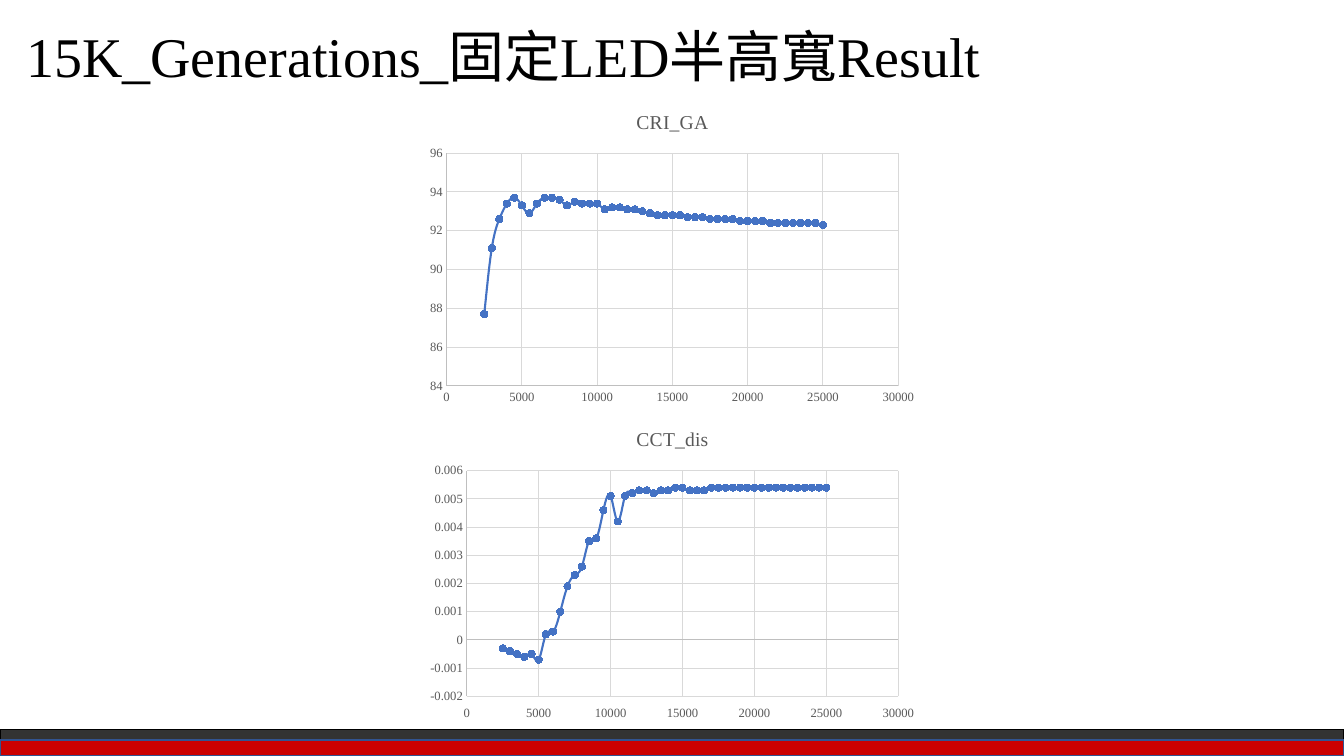
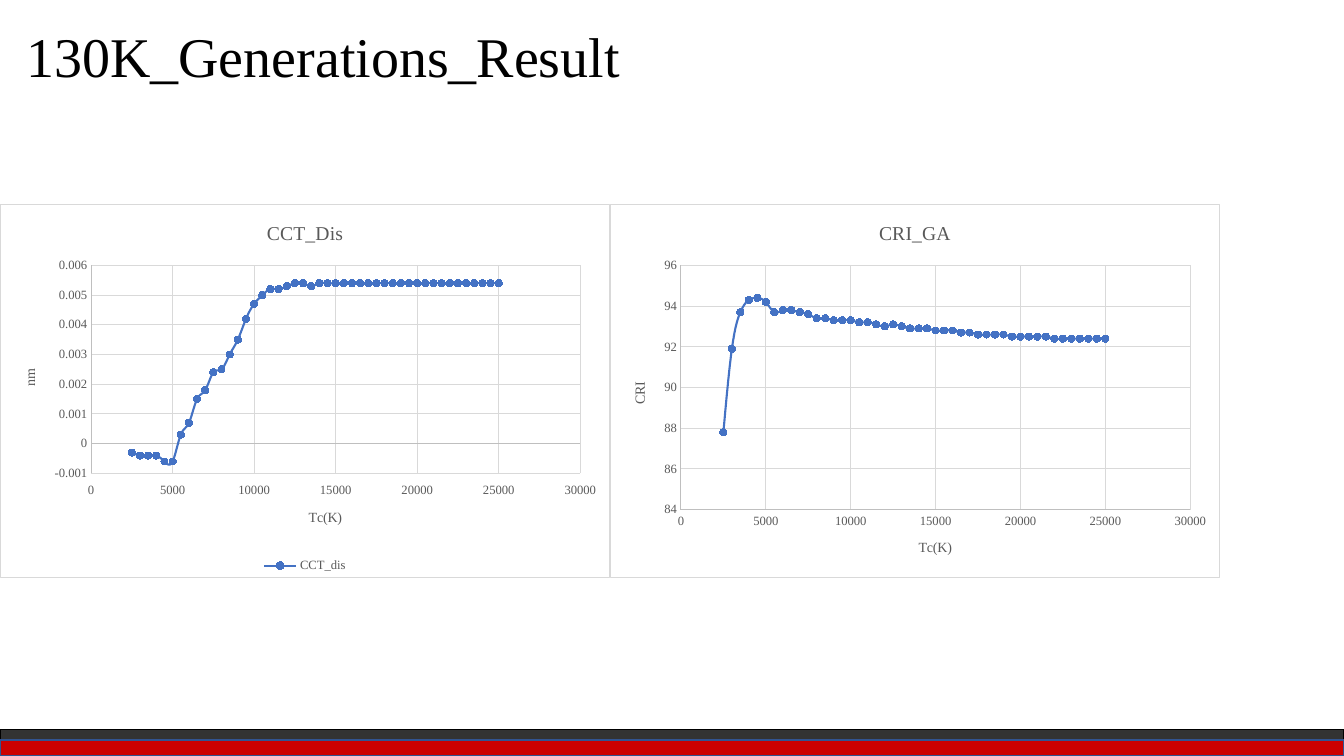
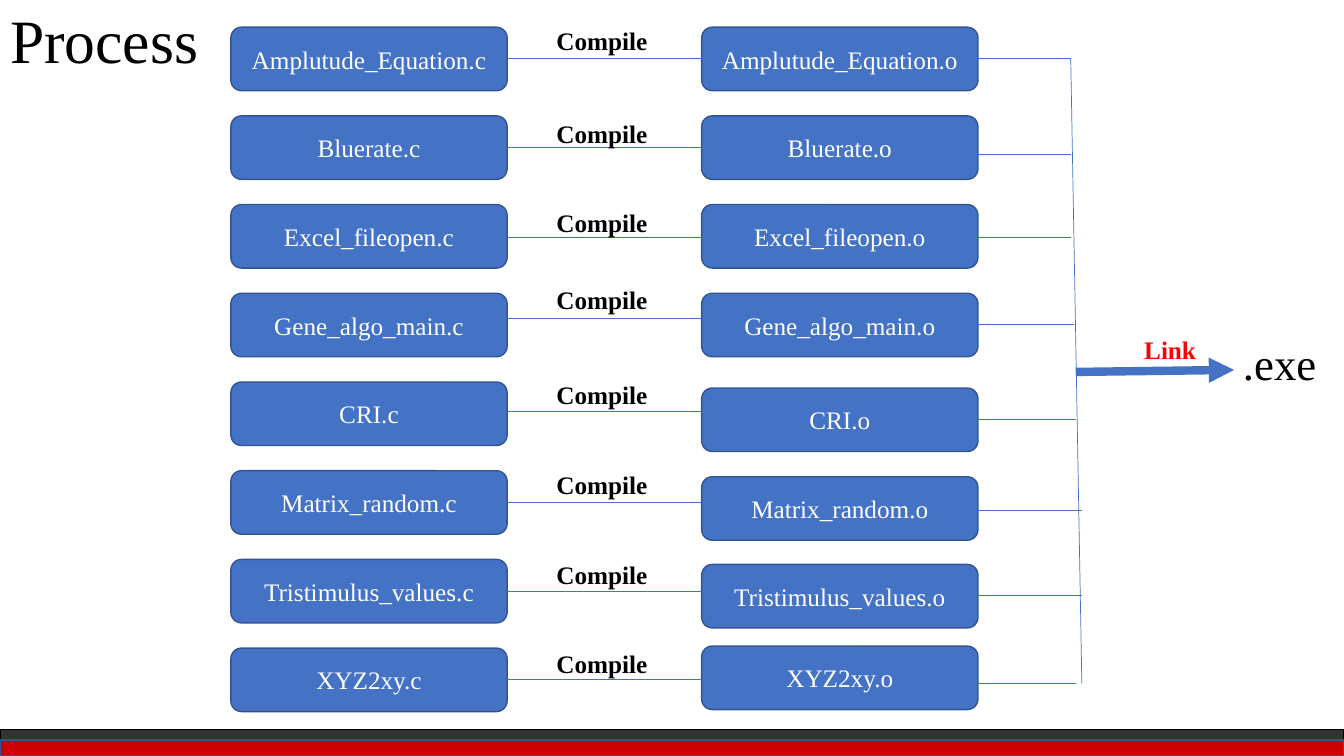
from lxml.etree import SubElement
from pptx import Presentation
from pptx.chart.data import XyChartData
from pptx.dml.color import RGBColor
from pptx.enum.chart import (XL_CHART_TYPE, XL_LEGEND_POSITION, XL_MARKER_STYLE,
                             XL_TICK_LABEL_POSITION, XL_TICK_MARK)
from pptx.enum.shapes import MSO_CONNECTOR, MSO_SHAPE
from pptx.enum.text import MSO_ANCHOR, MSO_AUTO_SIZE, PP_ALIGN
from pptx.oxml import parse_xml
from pptx.oxml.ns import nsdecls, qn
from pptx.util import Inches, Pt

FONT = "Times New Roman"
BLACK, WHITE, RED = "000000", "FFFFFF", "FF0000"
BLUE, DARK_BLUE, ORANGE = "4472C4", "325491", "ED7D31"
GRAY, AXIS_GRAY, GRID_GRAY = "595959", "BFBFBF", "D9D9D9"
WIDTH, HEIGHT = 13.33, 7.5


def style_font(font, size, color, bold=False):
    font.name, font.size, font.bold = FONT, Pt(size), bold
    font.color.rgb = RGBColor.from_string(color)


def add_box(slide, preset, place, fill, outline):
    box = slide.shapes.add_shape(preset, *map(Inches, place))
    box.shadow.inherit = False
    box.fill.solid()
    box.fill.fore_color.rgb = RGBColor.from_string(fill)
    box.line.color.rgb = RGBColor.from_string(outline)
    box.line.width = Pt(1)
    return box


prs = Presentation()
prs.slide_width, prs.slide_height = Inches(WIDTH), Inches(HEIGHT)
layout = prs.slide_layouts[5]

# Slides and titles: text, place, size, anchor, line spacing
titles = [
    ("15K_Generations_固定LED半高寬Result", (0.16, 0.16, 9.77, 0.77), 40, MSO_ANCHOR.TOP, 1.0),
    ("130K_Generations_Result", (0.16, 0.16, 6.61, 0.77), 40, MSO_ANCHOR.TOP, 1.0),
    ("Process", (0, -0.03, 2.58, 0.93), 44, MSO_ANCHOR.MIDDLE, 0.9),
]
for text, place, size, anchor, spacing in titles:
    title = prs.slides.add_slide(layout).shapes.title
    title.left, title.top, title.width, title.height = map(Inches, place)
    frame = title.text_frame
    frame.text = text
    frame.word_wrap = True
    frame.auto_size = MSO_AUTO_SIZE.NONE
    frame.vertical_anchor = anchor
    heading = frame.paragraphs[0]
    heading.alignment = PP_ALIGN.LEFT
    heading.line_spacing = spacing
    style_font(heading.font, size, BLACK)
fixed_width_slide, long_run_slide, process_slide = prs.slides

# Bottom bands, kept on the shared layout
bands = [(0.26, "333333", BLACK), (0.16, "CC0000", DARK_BLUE)]
for number, (height, fill, outline) in enumerate(bands):
    band = add_box(process_slide, MSO_SHAPE.RECTANGLE,
                   (0, HEIGHT - height, WIDTH, height), fill, outline)
    band.element.nvSpPr.cNvPr.id = 20 + number
    layout.shapes.element.append(band.element)

# Results for every colour temperature
temperatures = range(2500, 25001, 500)
cri_15k = [87.7, 91.1, 92.6, 93.4, 93.7, 93.3, 92.9, 93.4, 93.7, 93.7, 93.6, 93.3,
           93.5, 93.4, 93.4, 93.4, 93.1, 93.2, 93.2, 93.1, 93.1, 93.0, 92.9,
           *[92.8] * 4, *[92.7] * 3, *[92.6] * 4, *[92.5] * 4, *[92.4] * 7, 92.3]
cct_15k = [-0.0003, -0.0004, -0.0005, -0.0006, -0.0005, -0.0007, 0.0002, 0.0003,
           0.001, 0.0019, 0.0023, 0.0026, 0.0035, 0.0036, 0.0046, 0.0051, 0.0042,
           0.0051, 0.0052, 0.0053, 0.0053, 0.0052, 0.0053, 0.0053, 0.0054, 0.0054,
           *[0.0053] * 3, *[0.0054] * 17]
cct_130k = [-0.0003, -0.0004, -0.0004, -0.0004, -0.0006, -0.0006, 0.0003, 0.0007,
            0.0015, 0.0018, 0.0024, 0.0025, 0.003, 0.0035, 0.0042, 0.0047, 0.005,
            0.0052, 0.0052, 0.0053, 0.0054, 0.0054, 0.0053, *[0.0054] * 23]
cri_130k = [87.8, 91.9, 93.7, 94.3, 94.4, 94.2, 93.7, 93.8, 93.8, 93.7, 93.6, 93.4,
            93.4, 93.3, 93.3, 93.3, 93.2, 93.2, 93.1, 93.0, 93.1, 93.0,
            *[92.9] * 3, *[92.8] * 3, *[92.7] * 2, *[92.6] * 4, *[92.5] * 5, *[92.4] * 7]
no_results = [None] * len(temperatures)

# Charts: slide, place, title, series, (min, max, step), plot area inside the chart,
# value axis title, low labels, legend
charts = [
    (fixed_width_slide, (4.17, 0.93, 5, 3.15), "CRI_GA", {"CRI_GA": cri_15k},
     (84, 96, 2), (0.26, 0.59, 4.48, 2.31), None, False, False),
    (fixed_width_slide, (4.17, 4.08, 5, 3.14), "CCT_dis", {"CCT_dis": cct_15k},
     (-0.002, 0.006, 0.001), (0.46, 0.59, 4.28, 2.24), None, True, False),
    (long_run_slide, (0, 2.02, 6.05, 3.71), "CCT_Dis",
     {"CCT_dis": cct_130k, "Series 2": no_results},
     (-0.001, 0.006, 0.001), (0.9, 0.61, 4.86, 2.07), "nm", True, True),
    (long_run_slide, (6.05, 2.02, 6.05, 3.71), "CRI_GA", {"CRI_GA": cri_130k},
     (84, 96, 2), (0.7, 0.61, 5.06, 2.43), "CRI", False, False),
]
for (slide, place, chart_title, results, scale, plot_place,
     value_title, low_labels, legend) in charts:
    data = XyChartData()
    for series_name, values in results.items():
        points = data.add_series(series_name)
        for temperature, value in zip(temperatures, values):
            points.add_data_point(temperature, value)
    chart = slide.shapes.add_chart(XL_CHART_TYPE.XY_SCATTER_SMOOTH,
                                   *map(Inches, place), data).chart
    style_font(chart.font, 10, BLACK)
    chart.has_title = True
    chart.chart_title.include_in_layout = False

    # Missing results stay empty points
    for point in list(chart.element.iter(qn("c:pt"))):
        if point.findtext(qn("c:v")) in ("None", ""):
            point.getparent().remove(point)

    # Axes
    captions = [(chart.chart_title, chart_title, 14)]
    for axis, (low, high, step), caption in (
            (chart.category_axis, (0, 30000, 5000), value_title and "Tc(K)"),
            (chart.value_axis, scale, value_title)):
        axis.minimum_scale, axis.maximum_scale, axis.major_unit = low, high, step
        axis.major_tick_mark = axis.minor_tick_mark = XL_TICK_MARK.NONE
        axis.has_major_gridlines = True
        for rule, color in ((axis.format.line, AXIS_GRAY),
                            (axis.major_gridlines.format.line, GRID_GRAY)):
            rule.color.rgb = RGBColor.from_string(color)
            rule.width = Pt(0.75)
        style_font(axis.tick_labels.font, 9, GRAY)
        axis.tick_labels.number_format = "General"
        axis.tick_labels.number_format_is_linked = False
        axis.has_title = bool(caption)
        if caption:
            captions.append((axis.axis_title, caption, 10))
    if low_labels:
        chart.category_axis.tick_label_position = XL_TICK_LABEL_POSITION.LOW
    for holder, caption, size in captions:
        holder.text_frame.text = caption
        style_font(holder.text_frame.paragraphs[0].runs[0].font, size, GRAY)

    # Legend, without an entry for the empty series
    chart.has_legend = legend
    if legend:
        chart.legend.position = XL_LEGEND_POSITION.BOTTOM
        chart.legend.include_in_layout = False
        style_font(chart.legend.font, 9, GRAY)
        chart.element.find(".//" + qn("c:legendPos")).addnext(parse_xml(
            f'<c:legendEntry {nsdecls("c")}><c:idx val="1"/><c:delete val="1"/></c:legendEntry>'))

    # Curves and markers
    plot = chart.plots[0]
    plot.vary_by_categories = False
    for curve, color in zip(plot.series, (BLUE, ORANGE)):
        curve.format.line.width = Pt(1.5)
        curve.marker.style, curve.marker.size = XL_MARKER_STYLE.CIRCLE, 5
        curve.marker.format.fill.solid()
        for ink in (curve.format.line.color, curve.marker.format.line.color,
                    curve.marker.format.fill.fore_color):
            ink.rgb = RGBColor.from_string(color)
    for smooth in chart.element.iter(qn("c:smooth")):
        smooth.set("val", "1")

    # Plot area as shares of the chart
    plot_area = chart.element.find(".//" + qn("c:plotArea"))
    for automatic in plot_area.findall(qn("c:layout")):
        plot_area.remove(automatic)
    shares = "".join(f'<c:{key} val="{length / whole:.4f}"/>'
                     for key, length, whole in zip("xywh", plot_place, place[2:] * 2))
    plot_area.insert(0, parse_xml(
        f'<c:layout {nsdecls("c")}><c:manualLayout><c:layoutTarget val="inner"/>'
        f'<c:xMode val="edge"/><c:yMode val="edge"/>{shares}</c:manualLayout></c:layout>'))

    # Chart background and border
    if value_title:
        frame_style = (f'<a:solidFill><a:srgbClr val="{WHITE}"/></a:solidFill><a:ln w="9525">'
                       f'<a:solidFill><a:srgbClr val="{GRID_GRAY}"/></a:solidFill></a:ln>')
    else:
        frame_style = '<a:noFill/><a:ln><a:noFill/></a:ln>'
    chart.element.find(qn("c:chart")).addnext(
        parse_xml(f'<c:spPr {nsdecls("c", "a")}>{frame_style}</c:spPr>'))

# Build process: file, compile label top, compile line y, object top, link y, link end x
steps = [
    ("Amplutude_Equation", 0.2, 0.58, 0.27, 0.58, 10.62),
    ("Bluerate", 1.12, 1.46, 1.15, 1.53, 10.62),
    ("Excel_fileopen", 2.01, 2.35, 2.03, 2.35, 10.62),
    ("Gene_algo_main", 2.77, 3.16, 2.91, 3.22, 10.65),
    ("CRI", 3.71, 4.08, 3.85, 4.16, 10.67),
    ("Matrix_random", 4.61, 4.98, 4.73, 5.06, 10.73),
    ("Tristimulus_values", 5.5, 5.87, 5.6, 5.91, 10.73),
    ("XYZ2xy", 6.38, 6.74, 6.41, 6.78, 10.67),
]
SOURCE_X, OBJECT_X, BOX_W, BOX_H = 2.29, 6.96, 2.74, 0.63
FIRST_ROW, ROW_PITCH = 0.27, 0.88

# Files, collecting the lines and labels between them
lines = [(10.62, 0.58, 10.73, 6.78, 0.5), (10.67, 3.69, 12.24, 3.67, 6)]
labels = [(".exe", (12.23, 3.28, 0.94, 0.64), 32, BLACK, False),
          ("Link", (11.25, 3.27, 1.98, 0.4), 18, RED, True)]
for row, (name, label_top, compile_y, object_top, link_y, link_end) in enumerate(steps):
    for suffix, left, top in ((".c", SOURCE_X, FIRST_ROW + row * ROW_PITCH),
                              (".o", OBJECT_X, object_top)):
        file_box = add_box(process_slide, MSO_SHAPE.ROUNDED_RECTANGLE,
                           (left, top, BOX_W, BOX_H), BLUE, DARK_BLUE)
        file_box.text_frame.text = name + suffix
        file_box.text_frame.vertical_anchor = MSO_ANCHOR.MIDDLE
        file_name = file_box.text_frame.paragraphs[0]
        file_name.alignment = PP_ALIGN.CENTER
        style_font(file_name.font, 18, WHITE)
    lines.append((SOURCE_X + BOX_W, compile_y, OBJECT_X, compile_y, 0.5))
    lines.append((OBJECT_X + BOX_W, link_y, link_end, link_y, 0.5))
    labels.append(("Compile", (5.42, label_top, 1.98, 0.4), 18, BLACK, True))

# Lines and the link arrow
for *ends, weight in lines:
    line = process_slide.shapes.add_connector(MSO_CONNECTOR.STRAIGHT, *map(Inches, ends))
    line.line.color.rgb = RGBColor.from_string(BLUE)
    line.line.width = Pt(weight)
    properties = line.element.spPr
    if weight > 1:
        SubElement(properties.find(qn("a:ln")), qn("a:tailEnd"), type="triangle")
    SubElement(properties, qn("a:effectLst"))

# Labels
for text, place, size, color, bold in labels:
    label = process_slide.shapes.add_textbox(*map(Inches, place)).text_frame
    label.word_wrap = True
    label.text = text
    style_font(label.paragraphs[0].font, size, color, bold)

prs.save("out.pptx")
